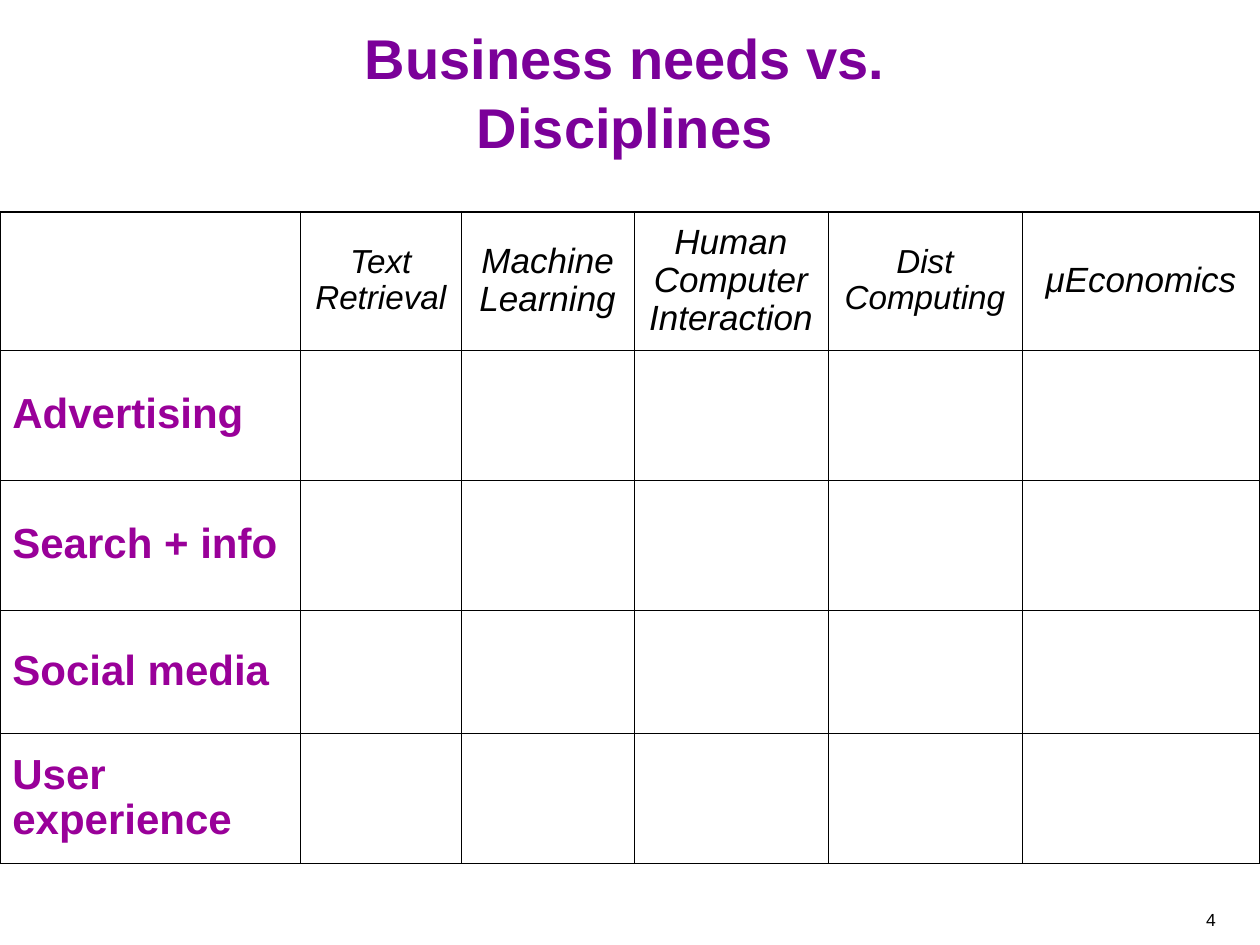
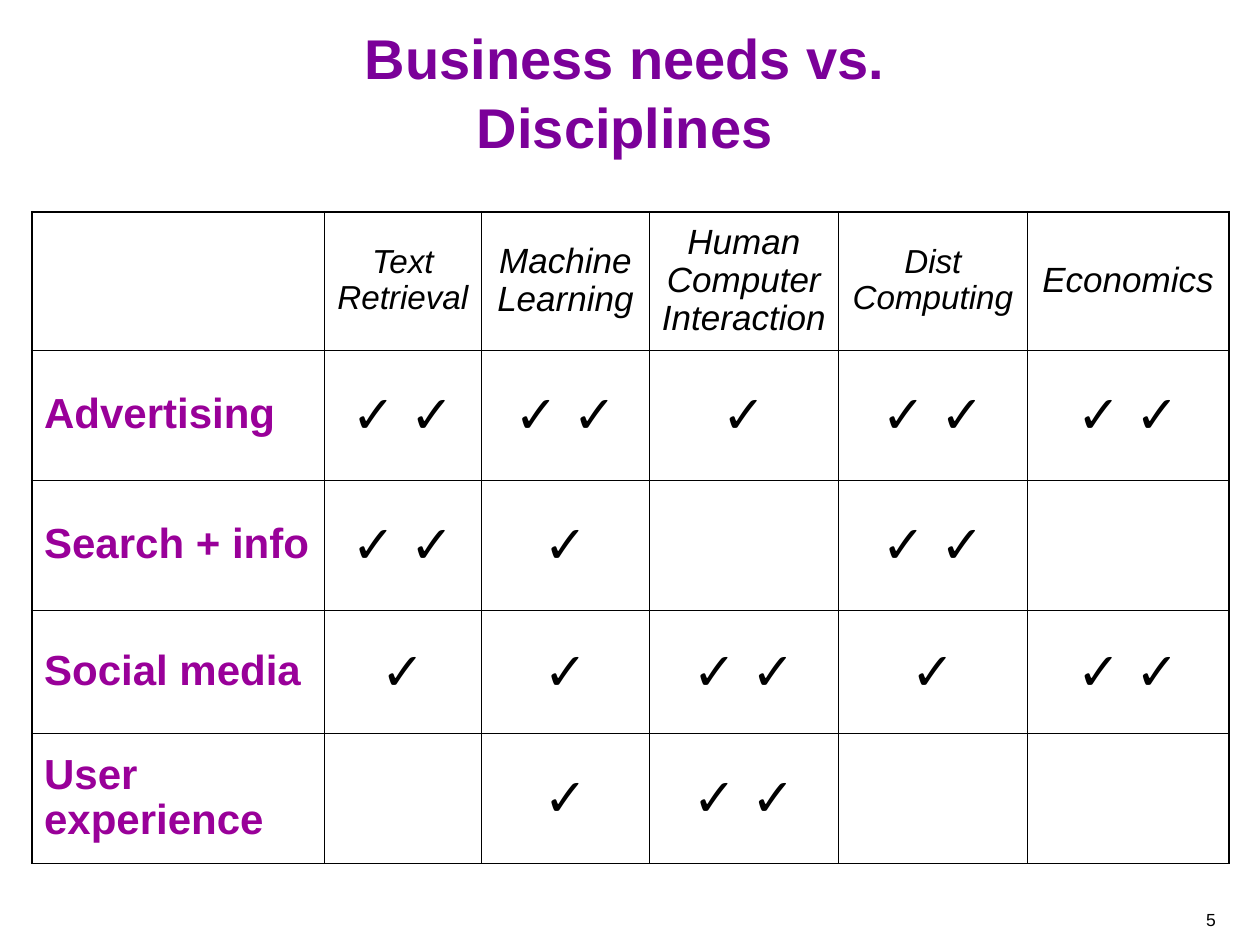
"""Build two slides that set business needs against disciplines."""
from dataclasses import dataclass

from lxml.etree import SubElement
from pptx import Presentation
from pptx.dml.color import RGBColor as RGB
from pptx.enum.text import MSO_ANCHOR as ANCHOR, PP_ALIGN as ALIGN
from pptx.oxml.ns import qn
from pptx.util import Cm, Pt


@dataclass(frozen=True)
class Theme:
    font: str = "Arial"
    title: str = "7B0099"
    need: str = "990099"
    ink: str = "000000"
    title_size: int = 32
    small_header_size: int = 19
    header_size: int = 20
    need_size: int = 24
    check_size: int = 30
    number_size: int = 10
    outer_line: float = 1.08
    inner_line: float = 0.45
    title_leading: float = 1.04
    header_leading: float = 0.97
    need_leading: float = 0.95
    space_before: float = 0.44


@dataclass(frozen=True)
class Matrix:
    number: int
    left: float
    widths: tuple[float, ...]
    last_discipline: str
    checks: tuple[tuple[int, ...], ...]


THEME = Theme()
TITLE = "Business needs vs. Disciplines"
DISCIPLINES = (
    ("Text Retrieval", THEME.small_header_size),
    ("Machine Learning", THEME.header_size),
    ("Human Computer Interaction", THEME.header_size),
    ("Dist Computing", THEME.small_header_size),
)
NEEDS = ("Advertising", "Search + info", "Social media", "User experience")
TABLE_TOP = 4.27
ROW_HEIGHTS = (2.79, 2.62, 2.62, 2.49, 2.62)
MATRICES = (
    Matrix(4, 0, (6.05, 3.25, 3.48, 3.91, 3.91, 4.8), "μEconomics",
           ((0,) * 5,) * len(NEEDS)),
    Matrix(5, 0.64, (5.89, 3.18, 3.38, 3.81, 3.81, 4.06), "Economics",
           ((2, 2, 1, 2, 2), (2, 1, 0, 2, 0), (1, 1, 2, 1, 2), (0, 1, 2, 0, 0))),
)


def write(tf, text: str, *, size: int, color: str = THEME.ink, bold: bool = False,
          italic: bool = False, align=ALIGN.CENTER, leading: float = 1.0,
          before: float = 0) -> None:
    tf.word_wrap = True
    p = tf.paragraphs[0]
    p.alignment = align
    p.line_spacing = leading
    p.space_before = Pt(round(before, 1))
    r = p.add_run()
    r.text = text
    r.font.name = THEME.font
    r.font.size = Pt(size)
    r.font.bold = bold
    r.font.italic = italic
    r.font.color.rgb = RGB.from_string(color)


def add_text(s, box: tuple[float, ...], text: str, anchor=ANCHOR.TOP, **style) -> None:
    sp = s.shapes.add_textbox(*map(Cm, box))
    sp.text_frame.vertical_anchor = anchor
    write(sp.text_frame, text, **style)


def set_borders(cell, outer: dict[str, bool]) -> None:
    tc_pr = cell._tc.get_or_add_tcPr()
    for side, is_outer in outer.items():
        width = THEME.outer_line if is_outer else THEME.inner_line
        ln = SubElement(tc_pr, qn(f"a:ln{side}"), w=str(Pt(width)))
        fill = SubElement(ln, qn("a:solidFill"))
        SubElement(fill, qn("a:srgbClr"), val=THEME.ink)


def fill_cell(cell, text: str, *, size: int, **style) -> None:
    if text:
        write(cell.text_frame, text, size=size, before=size * THEME.space_before, **style)


def add_matrix(s, m: Matrix) -> None:
    rows, cols = len(ROW_HEIGHTS), len(m.widths)
    table = s.shapes.add_table(rows, cols, Cm(m.left), Cm(TABLE_TOP),
                               Cm(sum(m.widths)), Cm(sum(ROW_HEIGHTS))).table
    table.first_row = table.horz_banding = False
    for column, width in zip(table.columns, m.widths):
        column.width = Cm(width)
    for row, height in zip(table.rows, ROW_HEIGHTS):
        row.height = Cm(height)

    for i in range(rows):
        for j in range(cols):
            cell = table.cell(i, j)
            cell.vertical_anchor = ANCHOR.MIDDLE
            cell.margin_left = cell.margin_right = Cm(0.25)
            set_borders(cell, {"L": j == 0, "R": j == cols - 1,
                               "T": i == 0, "B": i == rows - 1})
            cell.fill.background()

    headers = (*DISCIPLINES, (m.last_discipline, THEME.header_size))
    for j, (name, size) in enumerate(headers, 1):
        fill_cell(table.cell(0, j), name, size=size, italic=True,
                  leading=THEME.header_leading)
    for i, (need, counts) in enumerate(zip(NEEDS, m.checks), 1):
        fill_cell(table.cell(i, 0), need, size=THEME.need_size, color=THEME.need,
                  bold=True, align=ALIGN.LEFT, leading=THEME.need_leading)
        for j, count in enumerate(counts, 1):
            fill_cell(table.cell(i, j), " ".join("✓" * count), size=THEME.check_size)


def add_matrix_slide(prs, m: Matrix) -> None:
    s = prs.slides.add_slide(prs.slide_layouts[6])
    add_text(s, (4.88, 0.23, 15.44, 3.18), TITLE, ANCHOR.MIDDLE, size=THEME.title_size,
             color=THEME.title, bold=True, leading=THEME.title_leading)
    add_matrix(s, m)
    add_text(s, (19.48, 18.21, 5.28, 0.84), str(m.number), size=THEME.number_size,
             align=ALIGN.RIGHT)


def main() -> None:
    prs = Presentation()
    prs.slide_width, prs.slide_height = Cm(25.4), Cm(19.05)
    for m in MATRICES:
        add_matrix_slide(prs, m)
    prs.save("out.pptx")


if __name__ == "__main__":
    main()
